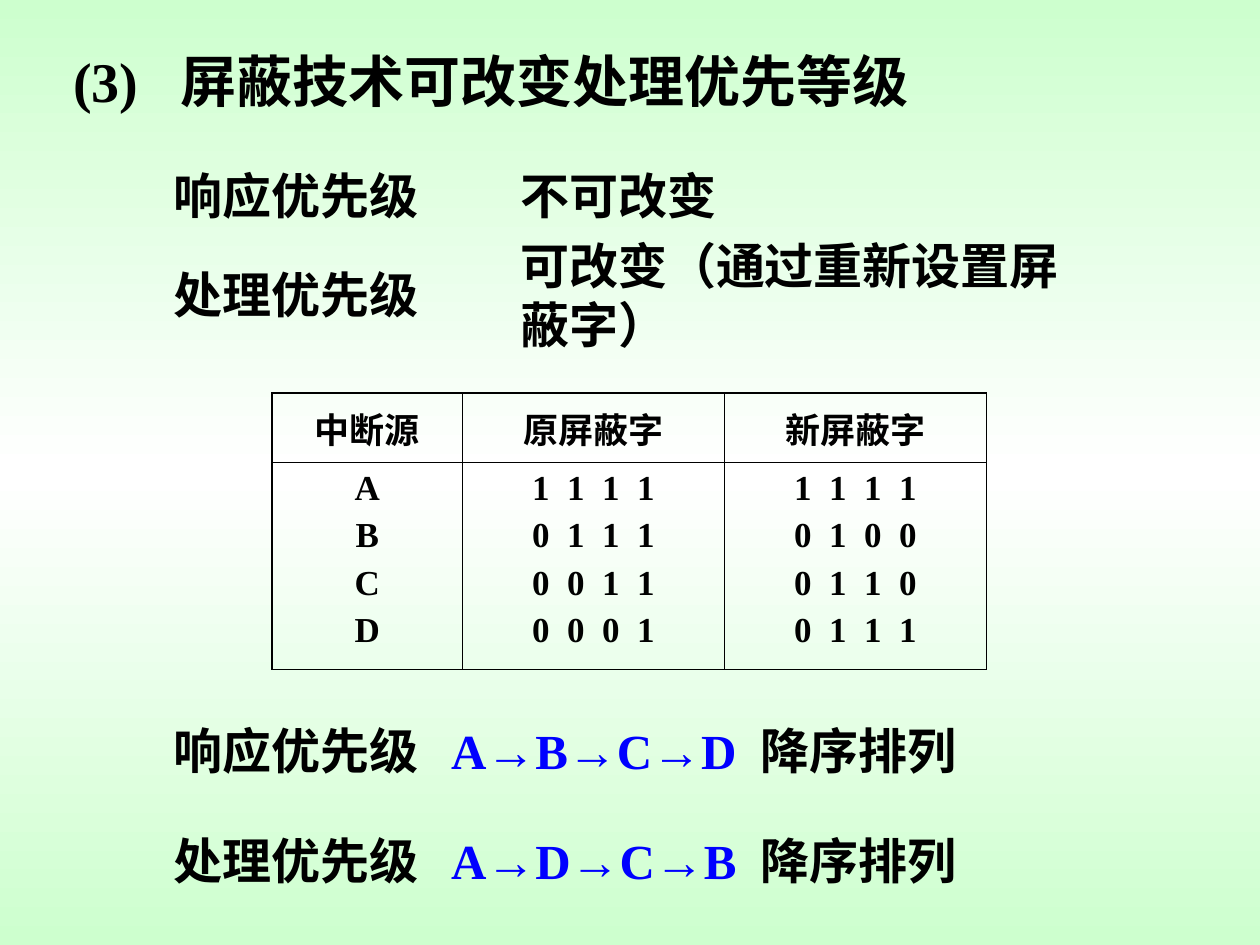
import copy
import pptx
import pptx.dml.color
import pptx.enum.text
import pptx.oxml
import pptx.oxml.ns
import pptx.util
from lxml import etree

FONT, BLACK, BLUE = "Times New Roman", "000000", "0000FF"
GREEN, WHITE = "CDFFCE", "FFFFFF"
EDGE, INNER = 1.08, 0.45  # table rules, points
LEFT, RIGHT = 1.38, 4.13  # text columns, inches
LINE_H = 0.47

TITLE = "(3)\t屏蔽技术可改变处理优先等级"
RULES = [  # top, level, whether it can change, width of the second text
    (1.31, "响应优先级", "不可改变", 2.34),
    (2.10, "处理优先级", "可改变（通过重新设置屏蔽字）", 4.41),
]
ORDERS = [  # top, level, order, width
    (5.72, "响应优先级", "A→B→C→D", 6.93),
    (6.59, "处理优先级", "A→D→C→B", 7.17),
]
HEADERS = ["中断源", "原屏蔽字", "新屏蔽字"]
MASKS = [
    ("A", "1 1 1 1", "1 1 1 1"),
    ("B", "0 1 1 1", "0 1 0 0"),
    ("C", "0 0 1 1", "0 1 1 0"),
    ("D", "0 0 0 1", "0 1 1 1"),
]
COLS, ROWS = [1.51, 2.08, 2.08], [0.55, 1.64]

inch = pptx.util.Inches


def rgb(value):
    return pptx.dml.color.RGBColor.from_string(value)


def sub(parent, tag, **attrs):
    return etree.SubElement(parent, pptx.oxml.ns.qn(tag), attrs)


def write(p, runs, size, tabs=(), align=None, before=None, spacing=None):
    """Fill a paragraph with (text, colour) runs."""
    if align is not None:
        p.alignment = align
    if before:
        p.space_before = pptx.util.Pt(before)
    if tabs:
        tab_list = sub(p._p.get_or_add_pPr(), "a:tabLst")
        for pos in tabs:
            sub(tab_list, "a:tab", pos=str(inch(pos)), algn="l")
    for text, color in runs:
        r = p.add_run()
        r.text = text
        r.font.name, r.font.size, r.font.bold = FONT, pptx.util.Pt(size), True
        r.font.color.rgb = rgb(color)
        if spacing:
            r.font._element.set("spc", str(int(spacing * 100)))


def add_text(s, x, y, w, h, runs, size=28, tabs=()):
    tf = s.shapes.add_textbox(inch(x), inch(y), inch(w), inch(h)).text_frame
    tf.margin_left = tf.margin_right = tf.margin_top = tf.margin_bottom = 0
    tf.word_wrap = False
    tf.vertical_anchor = pptx.enum.text.MSO_ANCHOR.MIDDLE
    write(tf.paragraphs[0], runs, size, tabs)


def set_borders(cell, **widths):
    for side, width in widths.items():
        ln = sub(cell._tc.get_or_add_tcPr(), "a:ln" + side,
                 w=str(pptx.util.Pt(width)))
        sub(sub(ln, "a:solidFill"), "a:srgbClr", val=BLACK)


def add_background(s):
    fill = s.background.fill
    fill.gradient()
    fill.gradient_angle = 270
    first, last = fill.gradient_stops
    first.color.rgb, last.color.rgb = rgb(WHITE), rgb(GREEN)
    first.position, last.position = 0.5, 1
    middle = first._gs
    start = copy.deepcopy(last._gs)
    start.set("pos", "0")
    middle.addprevious(start)


def add_masks(s):
    frame = s.shapes.add_table(len(ROWS), len(COLS), inch(2.16), inch(3.12),
                               inch(sum(COLS)), inch(sum(ROWS)))
    table = frame.table
    table.first_row = table.horz_banding = False
    for column, width in zip(table.columns, COLS):
        column.width = inch(width)
    for row, height in zip(table.rows, ROWS):
        row.height = inch(height)
    body = list(zip(*MASKS))
    for c, header in enumerate(HEADERS):
        for r, lines in enumerate(([header], body[c])):
            cell = table.cell(r, c)
            set_borders(cell,
                        L=EDGE if c == 0 else INNER,
                        R=EDGE if c == len(COLS) - 1 else INNER,
                        T=EDGE if r == 0 else INNER,
                        B=EDGE if r == len(ROWS) - 1 else INNER)
            cell.fill.background()
            if r == 0:
                cell.vertical_anchor = pptx.enum.text.MSO_ANCHOR.MIDDLE
            tf = cell.text_frame
            for i, line in enumerate(lines):
                p = tf.add_paragraph() if i else tf.paragraphs[0]
                write(p, [(line, BLACK)], 20,
                      align=pptx.enum.text.PP_ALIGN.CENTER,
                      before=5 if i else None,
                      spacing=2.5 if " " in line else None)


def main():
    prs = pptx.Presentation()
    prs.slide_width, prs.slide_height = inch(10), inch(7.5)
    s = prs.slides.add_slide(prs.slide_layouts[6])
    add_background(s)
    add_text(s, 0.58, 0.36, 7.49, 0.55, [(TITLE, BLACK)], 32, tabs=[0.85])
    for y, level, change, width in RULES:
        add_text(s, LEFT, y, 2.34, LINE_H, [(level, BLACK)])
        add_text(s, RIGHT, y, width, LINE_H, [(change, BLACK)])
    add_masks(s)
    for y, level, order, width in ORDERS:
        runs = [(level + "\t", BLACK), (order + "\t", BLUE),
                ("降序排列", BLACK)]
        add_text(s, LEFT, y, width, LINE_H, runs, tabs=[2.2, 4.66])
    prs.save("out.pptx")


if __name__ == "__main__":
    main()
